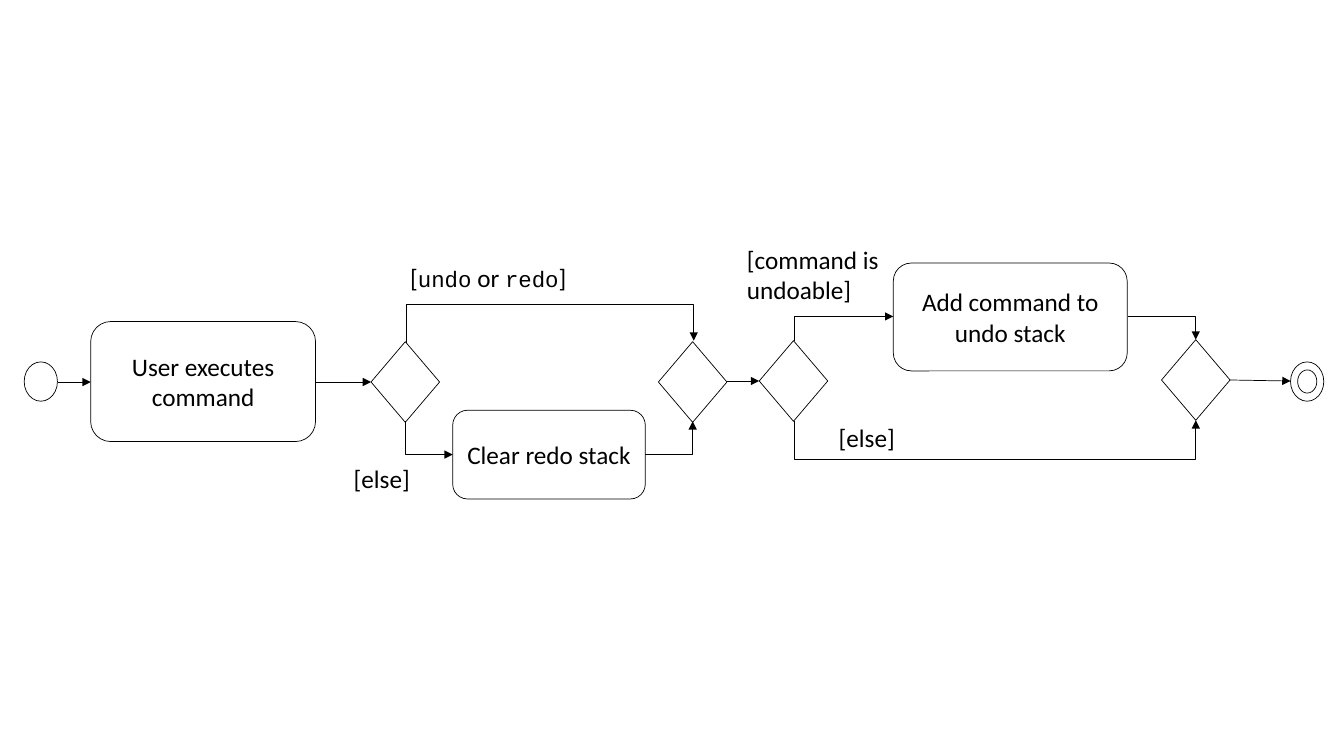
"""Build the activity diagram of command execution with undo and redo stacks."""
from lxml.etree import SubElement
from pptx import Presentation
from pptx.dml.color import RGBColor
from pptx.enum.shapes import MSO_CONNECTOR as LINK, MSO_SHAPE as SHAPE
from pptx.enum.text import MSO_ANCHOR as ANCHOR, PP_ALIGN as ALIGN
from pptx.oxml.ns import qn
from pptx.util import Inches, Pt

BLACK, WHITE = "000000", "FFFFFF"
color = RGBColor.from_string
BODY, CODE = ("Calibri", 18), ("Courier New", 16)


def add_node(kind, left, top, width, height, runs=(), outline=BLACK, weight=0.5,
             align=ALIGN.CENTER, anchor=ANCHOR.MIDDLE):
    node = slide.shapes.add_shape(kind, Inches(left), Inches(top), Inches(width), Inches(height))
    node.shadow.inherit = False
    node.fill.solid()
    node.fill.fore_color.rgb = color(WHITE)
    node.line.color.rgb = color(outline)
    node.line.width = Pt(weight)
    frame = node.text_frame
    frame.word_wrap = True
    frame.vertical_anchor = anchor
    paragraph = frame.paragraphs[0]
    paragraph.alignment = align
    for text, (font, size) in runs:
        run = paragraph.add_run()
        run.text = text
        run.font.name = font
        run.font.size = Pt(size)
        run.font.color.rgb = color(BLACK)


def add_arrow(x1, y1, x2, y2, preset="line", turn=0, via_y=None):
    center_x, center_y = (x1 + x2) / 2, (y1 + y2) / 2
    dx, dy = x1 - center_x, y1 - center_y
    dx, dy = {0: (dx, dy), 90: (dy, -dx), 270: (-dy, dx)}[turn]
    ends = (center_x + dx, center_y + dy, center_x - dx, center_y - dy)
    kind = LINK.STRAIGHT if preset == "line" else LINK.ELBOW
    arrow = slide.shapes.add_connector(kind, *map(Inches, ends))
    arrow.line.color.rgb = color(BLACK)
    arrow.line.width = Pt(0.5)
    properties = arrow.element.spPr
    SubElement(properties.find(qn("a:ln")), qn("a:tailEnd"), type="triangle")
    SubElement(properties, qn("a:effectLst"))
    geometry = properties.find(qn("a:prstGeom"))
    geometry.set("prst", preset)
    if turn:
        properties.find(qn("a:xfrm")).set("rot", str(turn * 60000))
    if via_y is not None:
        bend = round((via_y - y1) / (y2 - y1) * 100000)
        SubElement(geometry.find(qn("a:avLst")), qn("a:gd"), name="adj1", fmla=f"val {bend}")


deck = Presentation()
deck.slide_width, deck.slide_height = Inches(13.33), Inches(7.5)
slide = deck.slides.add_slide(deck.slide_layouts[6])

guards = [
    (3.97, 2.55, 2.28, 0.61,
     [("[", BODY), ("undo", CODE), (" or ", BODY), ("redo", CODE), ("]", BODY)]),
    (3.41, 4.55, 1.21, 0.61, [("[else]", BODY)]),
    (8.22, 4.14, 1.21, 0.61, [("[else]", BODY)]),
    (7.31, 2.37, 2.01, 1.07, [("[command is undoable]", BODY)]),
]
for guard in guards:
    add_node(SHAPE.RECTANGLE, *guard, outline=WHITE, weight=0.75,
             align=ALIGN.LEFT, anchor=ANCHOR.TOP)

actions = [
    (0.9, 3.19, 2.23, 1.19, "User executes command"),
    (4.49, 4.07, 1.91, 0.88, "Clear redo stack"),
    (8.86, 2.61, 2.32, 1.07, "Add command to undo stack"),
]
for *box, action in actions:
    add_node(SHAPE.ROUNDED_RECTANGLE, *box, [(action, BODY)])

for left, top in [(3.68, 3.39), (6.53, 3.39), (7.53, 3.38), (11.52, 3.37)]:
    add_node(SHAPE.DIAMOND, left, top, 0.68, 0.8)

for circle in [(0.24, 3.59, 0.33, 0.39), (12.8, 3.59, 0.33, 0.39), (12.87, 3.67, 0.19, 0.23)]:
    add_node(SHAPE.OVAL, *circle)

flows = [
    (0.58, 3.79, 0.9, 3.79),
    (3.13, 3.79, 3.68, 3.79),
    (7.21, 3.78, 7.53, 3.78),
    (12.2, 3.77, 12.8, 3.78),
    (4.02, 4.18, 4.49, 4.51, "bentConnector2", 270),
    (6.4, 4.51, 6.87, 4.18, "bentConnector2"),
    (7.88, 3.38, 8.86, 3.14, "bentConnector2", 90),
    (11.19, 3.14, 11.86, 3.37, "bentConnector2"),
    (4.03, 3.4, 6.88, 3.38, "bentConnector3", 90, 3.02),
    (7.88, 4.18, 11.86, 4.17, "bentConnector3", 90, 4.56),
]
for flow in flows:
    add_arrow(*flow)

deck.save("out.pptx")
